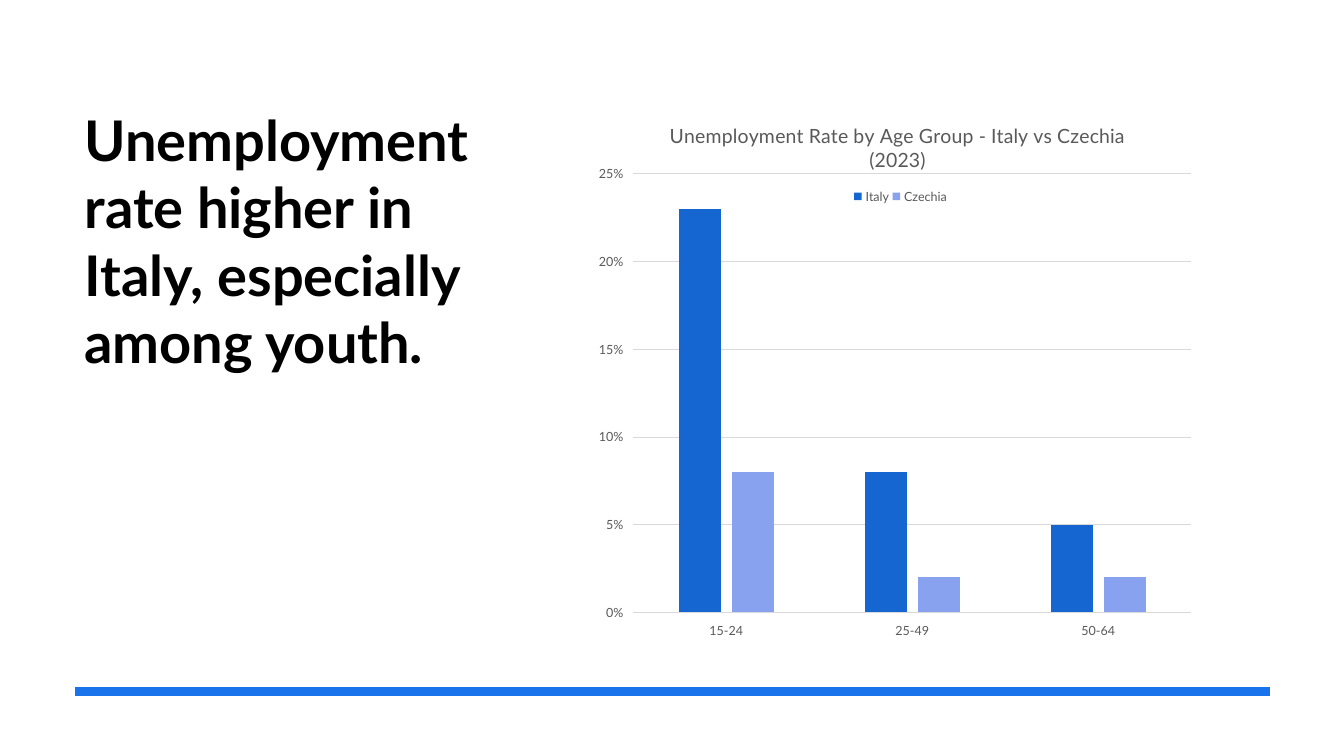
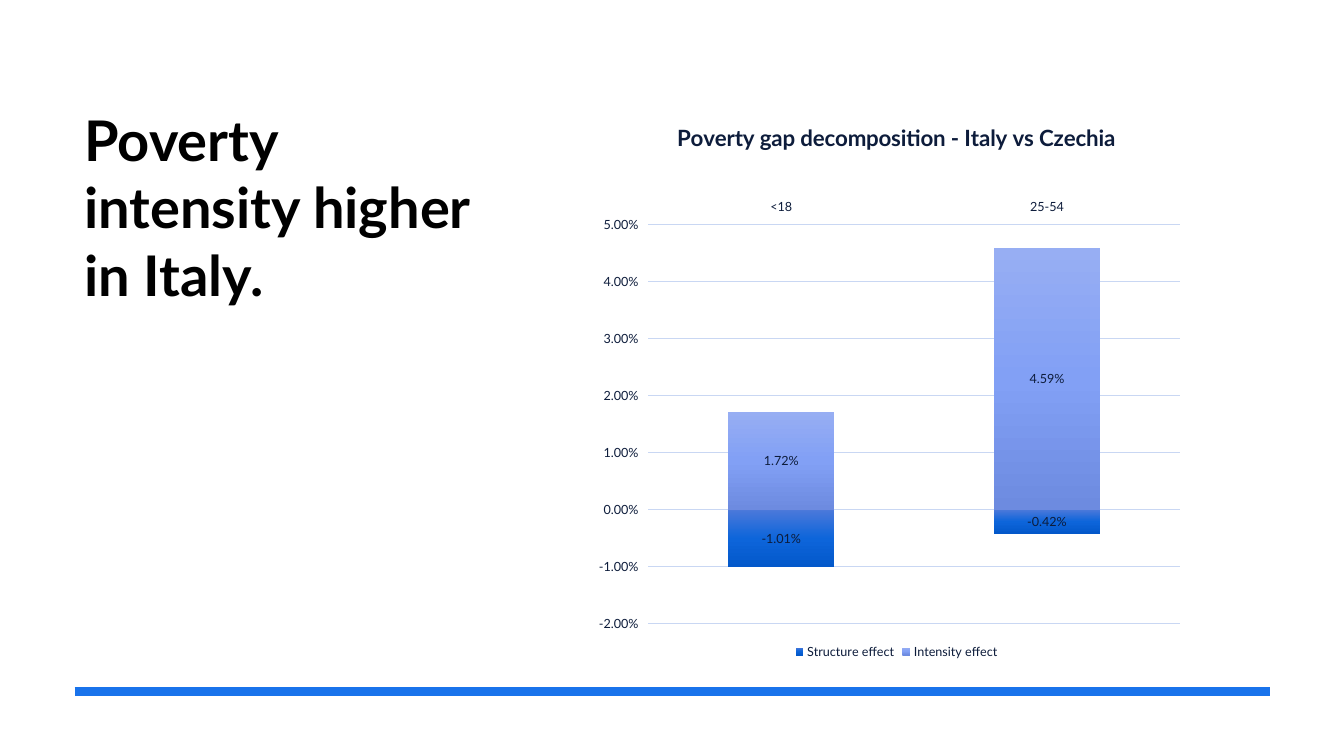
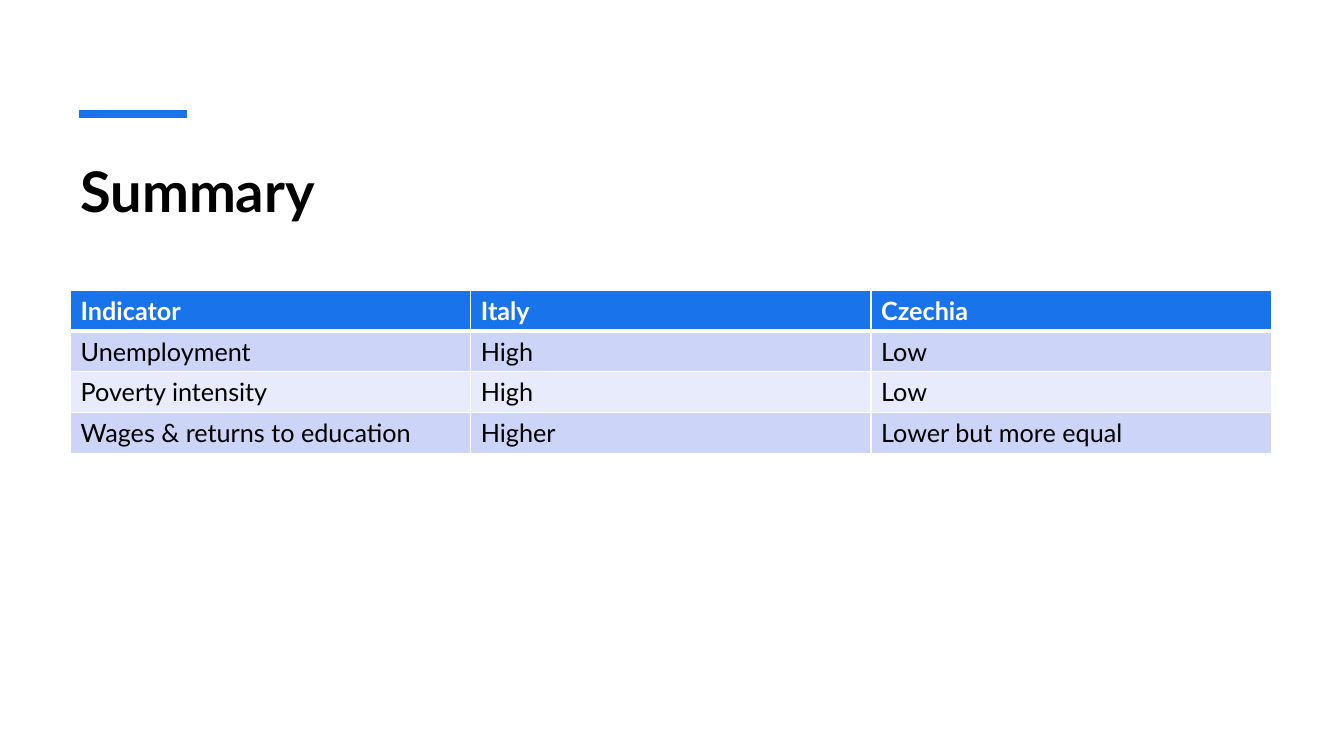
from dataclasses import dataclass
from typing import Optional

from lxml.etree import SubElement
from pptx import Presentation
from pptx.chart.chart import Chart
from pptx.chart.data import CategoryChartData
from pptx.dml.color import RGBColor
from pptx.enum.chart import XL_CHART_TYPE, XL_LABEL_POSITION, XL_LEGEND_POSITION, XL_TICK_LABEL_POSITION, XL_TICK_MARK
from pptx.enum.shapes import MSO_CONNECTOR
from pptx.enum.text import MSO_ANCHOR
from pptx.oxml import parse_xml
from pptx.oxml.ns import nsdecls, qn
from pptx.slide import Slide
from pptx.table import _Cell
from pptx.text.text import Font
from pptx.util import Inches, Pt

# Shared look
FONT = "Lato"
BLACK = RGBColor(0x00, 0x00, 0x00)
WHITE = RGBColor(0xFF, 0xFF, 0xFF)
BLUE = RGBColor(0x19, 0x73, 0xEB)
GREY = RGBColor(0x59, 0x59, 0x59)
GRID_GREY = RGBColor(0xD9, 0xD9, 0xD9)
NAVY = RGBColor(0x0D, 0x1C, 0x3B)
GRID_BLUE = RGBColor(0xC9, 0xD7, 0xF3)
ITALY_BLUE = RGBColor(0x16, 0x66, 0xD1)
CZECHIA_BLUE = RGBColor(0x88, 0xA2, 0xF0)
STRUCTURE_STOPS = (RGBColor(0x4C, 0x79, 0xDA), RGBColor(0x0D, 0x65, 0xDA), RGBColor(0x03, 0x58, 0xCA))
INTENSITY_STOPS = (RGBColor(0x97, 0xAE, 0xF3), RGBColor(0x82, 0xA0, 0xF5), RGBColor(0x6D, 0x8B, 0xE0))
BAND_FILLS = (RGBColor(0xCC, 0xD5, 0xF7), RGBColor(0xE8, 0xEB, 0xFB))


@dataclass(frozen=True)
class Box:
    left: float
    top: float
    width: float
    height: float


@dataclass(frozen=True)
class SeriesSpec:
    name: str
    values: tuple[float, ...]
    colors: tuple[RGBColor, ...]  # one is solid, more make a gradient


@dataclass(frozen=True)
class ChartSpec:
    heading: str
    title: str
    title_size: int
    title_bold: bool
    kind: XL_CHART_TYPE
    categories: tuple[str, ...]
    series: tuple[SeriesSpec, ...]
    text_color: RGBColor
    grid_color: RGBColor
    number_format: str
    minimum: float
    maximum: float
    step: float
    gap: int
    overlap: int
    plot: Box  # fractions of the chart
    legend_position: XL_LEGEND_POSITION
    category_labels: XL_TICK_LABEL_POSITION
    legend: Optional[Box] = None
    data_labels: bool = False


SIDE_TITLE = Box(0.74, 1, 4.02, 4.55)
TOP_TITLE = Box(0.7, 1.5, 11.91, 1.2)
CHART = Box(5.94, 1, 5.88, 5.58)
TABLE = Box(0.7, 2.88, 11.91, 1.62)

CHARTS = (
    ChartSpec(
        heading="Unemployment rate higher in Italy, especially among youth.",
        title="Unemployment Rate by Age Group - Italy vs Czechia (2023)",
        title_size=14, title_bold=False,
        kind=XL_CHART_TYPE.COLUMN_CLUSTERED,
        categories=("15-24", "25-49", "50-64"),
        series=(
            SeriesSpec("Italy", (0.23, 0.08, 0.05), (ITALY_BLUE,)),
            SeriesSpec("Czechia", (0.08, 0.02, 0.02), (CZECHIA_BLUE,)),
        ),
        text_color=GREY, grid_color=GRID_GREY, number_format="0%",
        minimum=0, maximum=0.25, step=0.05, gap=219, overlap=-27,
        plot=Box(0.05, 0.13, 0.95, 0.78),
        legend_position=XL_LEGEND_POSITION.TOP,
        category_labels=XL_TICK_LABEL_POSITION.LOW,
        legend=Box(0.42, 0.15, 0.17, 0.04),
    ),
    ChartSpec(
        heading="Poverty intensity higher in Italy.",
        title="Poverty gap decomposition - Italy vs Czechia",
        title_size=16, title_bold=True,
        kind=XL_CHART_TYPE.COLUMN_STACKED,
        categories=("<18", "25-54"),
        series=(
            SeriesSpec("Structure effect", (-0.0101, -0.0042), STRUCTURE_STOPS),
            SeriesSpec("Intensity effect", (0.0172, 0.0459), INTENSITY_STOPS),
        ),
        text_color=NAVY, grid_color=GRID_BLUE, number_format="0.00%",
        minimum=-0.02, maximum=0.05, step=0.01, gap=150, overlap=100,
        plot=Box(0.08, 0.22, 0.9, 0.71),
        legend_position=XL_LEGEND_POSITION.BOTTOM,
        category_labels=XL_TICK_LABEL_POSITION.HIGH,
        data_labels=True,
    ),
)

SUMMARY = (
    ("Indicator", "Italy", "Czechia"),
    ("Unemployment", "High", "Low"),
    ("Poverty intensity", "High", "Low"),
    ("Wages & returns to education", "Higher", "Lower but more equal"),
)


def place(box: Box) -> tuple[int, int, int, int]:
    return Inches(box.left), Inches(box.top), Inches(box.width), Inches(box.height)


def style_font(font: Font, size: float, color: RGBColor, bold: bool = False) -> None:
    font.name = FONT
    font.size = Pt(size)
    font.bold = bold
    font.color.rgb = color


def add_title(page: Slide, box: Box, text: str) -> None:
    frame = page.shapes.add_textbox(*place(box)).text_frame
    frame.word_wrap = True
    frame.vertical_anchor = MSO_ANCHOR.TOP
    span = frame.paragraphs[0].add_run()
    span.text = text
    style_font(span.font, 40, BLACK, bold=True)


def add_rule(page: Slide, left: float, right: float, top: float) -> None:
    rule = page.shapes.add_connector(
        MSO_CONNECTOR.STRAIGHT, Inches(left), Inches(top), Inches(right), Inches(top))
    rule.line.color.rgb = BLUE
    rule.line.width = Pt(6)
    SubElement(rule._element.spPr, qn("a:effectLst"))


# Charts
def layout_xml(box: Box, inner: bool):
    target = '<c:layoutTarget val="inner"/>' if inner else ""
    return parse_xml(
        f'<c:layout {nsdecls("c")}><c:manualLayout>{target}'
        '<c:xMode val="edge"/><c:yMode val="edge"/>'
        f'<c:x val="{box.left}"/><c:y val="{box.top}"/>'
        f'<c:w val="{box.width}"/><c:h val="{box.height}"/>'
        '</c:manualLayout></c:layout>')


def gradient_xml(colors: tuple[RGBColor, ...]):
    gap = 100000 // (len(colors) - 1)
    stops = "".join(
        f'<a:gs pos="{index * gap}"><a:srgbClr val="{color}"/></a:gs>'
        for index, color in enumerate(colors))
    return parse_xml(
        f'<a:gradFill {nsdecls("a")} rotWithShape="1"><a:gsLst>{stops}</a:gsLst>'
        '<a:lin ang="5400000" scaled="0"/></a:gradFill>')


def style_axes(chart: Chart, spec: ChartSpec) -> None:
    category, value = chart.category_axis, chart.value_axis
    for axis in (category, value):
        axis.major_tick_mark = axis.minor_tick_mark = XL_TICK_MARK.NONE
        style_font(axis.tick_labels.font, 9, spec.text_color)
    category.tick_label_position = spec.category_labels
    value.tick_label_position = XL_TICK_LABEL_POSITION.LOW
    value.minimum_scale, value.maximum_scale = spec.minimum, spec.maximum
    value.major_unit = spec.step
    value.tick_labels.number_format = spec.number_format
    value.tick_labels.number_format_is_linked = False
    value.format.line.fill.background()
    for line in (category.format.line, value.major_gridlines.format.line):
        line.color.rgb = spec.grid_color
        line.width = Pt(0.75)


def style_series(chart: Chart, spec: ChartSpec) -> None:
    plot = chart.plots[0]
    plot.gap_width, plot.overlap = spec.gap, spec.overlap
    plot.vary_by_categories = False
    for series, details in zip(plot.series, spec.series):
        series.invert_if_negative = False
        if len(details.colors) == 1:
            series.format.fill.solid()
            series.format.fill.fore_color.rgb = details.colors[0]
        else:
            series._element.get_or_add_spPr().insert(0, gradient_xml(details.colors))
        if spec.data_labels:
            labels = series.data_labels
            labels.show_value = True
            labels.position = XL_LABEL_POSITION.CENTER
            labels.number_format = spec.number_format
            labels.number_format_is_linked = False
            style_font(labels.font, 9, spec.text_color)


def add_column_chart(page: Slide, spec: ChartSpec) -> None:
    data = CategoryChartData(number_format=spec.number_format)
    data.categories = spec.categories
    for series in spec.series:
        data.add_series(series.name, series.values)
    chart = page.shapes.add_chart(spec.kind, *place(CHART), data).chart
    style_font(chart.font, 10, BLACK)

    chart.has_title = True
    span = chart.chart_title.text_frame.paragraphs[0].add_run()
    span.text = spec.title
    style_font(span.font, spec.title_size, spec.text_color, spec.title_bold)
    chart.chart_title.include_in_layout = False

    chart.has_legend = True
    legend = chart.legend
    legend.position = spec.legend_position
    legend.include_in_layout = False
    style_font(legend.font, 9, spec.text_color)
    if spec.legend:
        legend._element.find(qn("c:legendPos")).addnext(layout_xml(spec.legend, inner=False))

    style_axes(chart, spec)
    style_series(chart, spec)
    plot_area = chart.plots[0]._element.getparent()
    for layout in plot_area.findall(qn("c:layout")):
        plot_area.remove(layout)
    plot_area.insert(0, layout_xml(spec.plot, inner=True))


# Table
def set_borders(cell: _Cell, top: float, bottom: float) -> None:
    sides = (("L", 1), ("R", 1), ("T", top), ("B", bottom))
    for index, (side, width) in enumerate(sides):
        cell._tc.get_or_add_tcPr().insert(index, parse_xml(
            f'<a:ln{side} {nsdecls("a")} w="{Pt(width)}"><a:solidFill>'
            f'<a:srgbClr val="{WHITE}"/></a:solidFill></a:ln{side}>'))


def add_summary_table(page: Slide) -> None:
    table = page.shapes.add_table(len(SUMMARY), len(SUMMARY[0]), *place(TABLE)).table
    for row, texts in enumerate(SUMMARY):
        header = row == 0
        for column, text in enumerate(texts):
            cell = table.cell(row, column)
            cell.fill.solid()
            cell.fill.fore_color.rgb = BLUE if header else BAND_FILLS[(row - 1) % 2]
            set_borders(cell, top=3 if row == 1 else 1, bottom=3 if header else 1)
            span = cell.text_frame.paragraphs[0].add_run()
            span.text = text
            style_font(span.font, 18, WHITE if header else BLACK, bold=header)


def main() -> None:
    deck = Presentation()
    deck.slide_width, deck.slide_height = Inches(13.33), Inches(7.5)
    blank = deck.slide_layouts[6]

    # Chart slides
    for spec in CHARTS:
        page = deck.slides.add_slide(blank)
        add_title(page, SIDE_TITLE, spec.heading)
        add_rule(page, 0.74, 12.6, 6.86)
        add_column_chart(page, spec)

    # Summary slide
    page = deck.slides.add_slide(blank)
    add_rule(page, 0.78, 1.85, 1.13)
    add_title(page, TOP_TITLE, "Summary")
    add_summary_table(page)

    deck.save("out.pptx")


if __name__ == "__main__":
    main()
